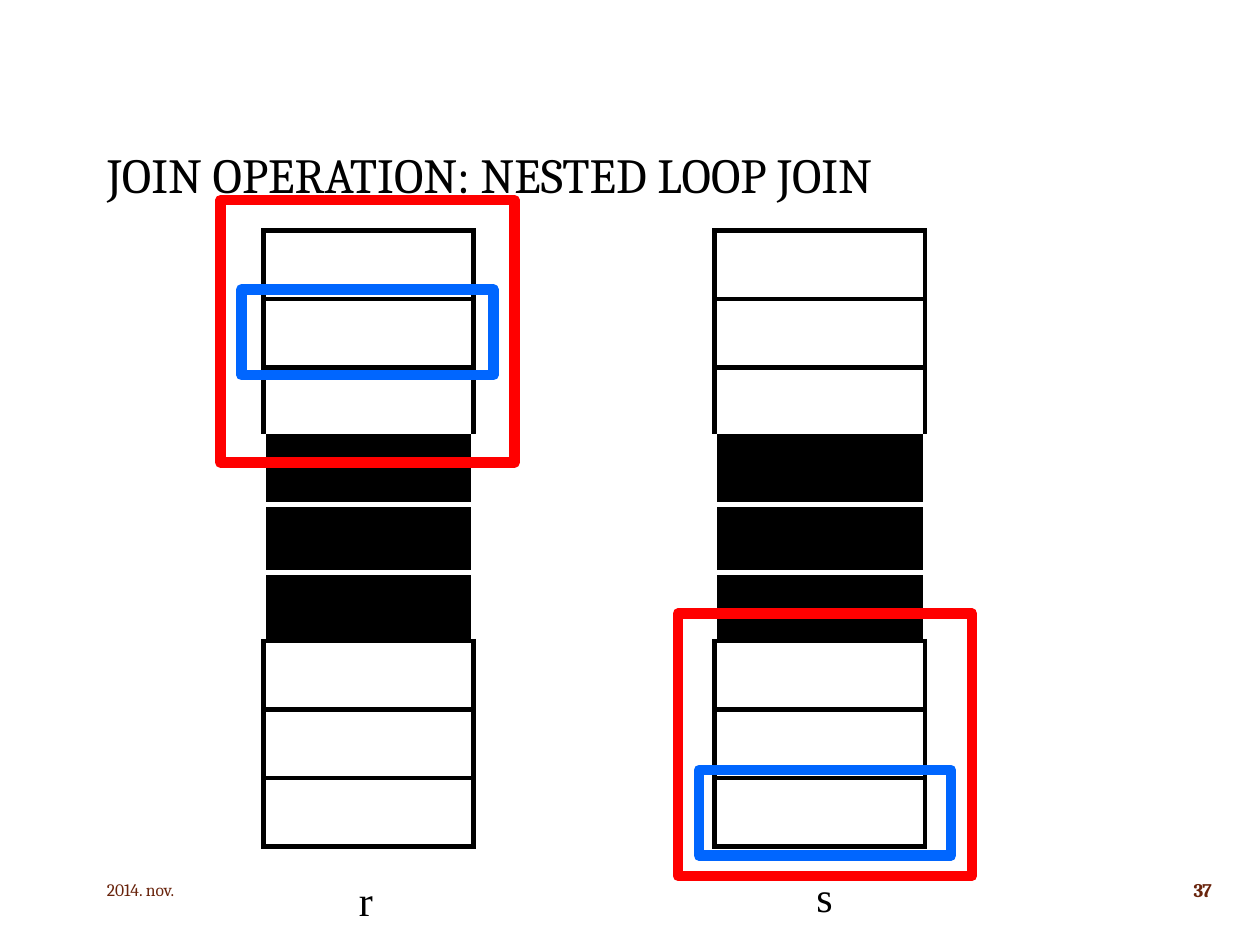
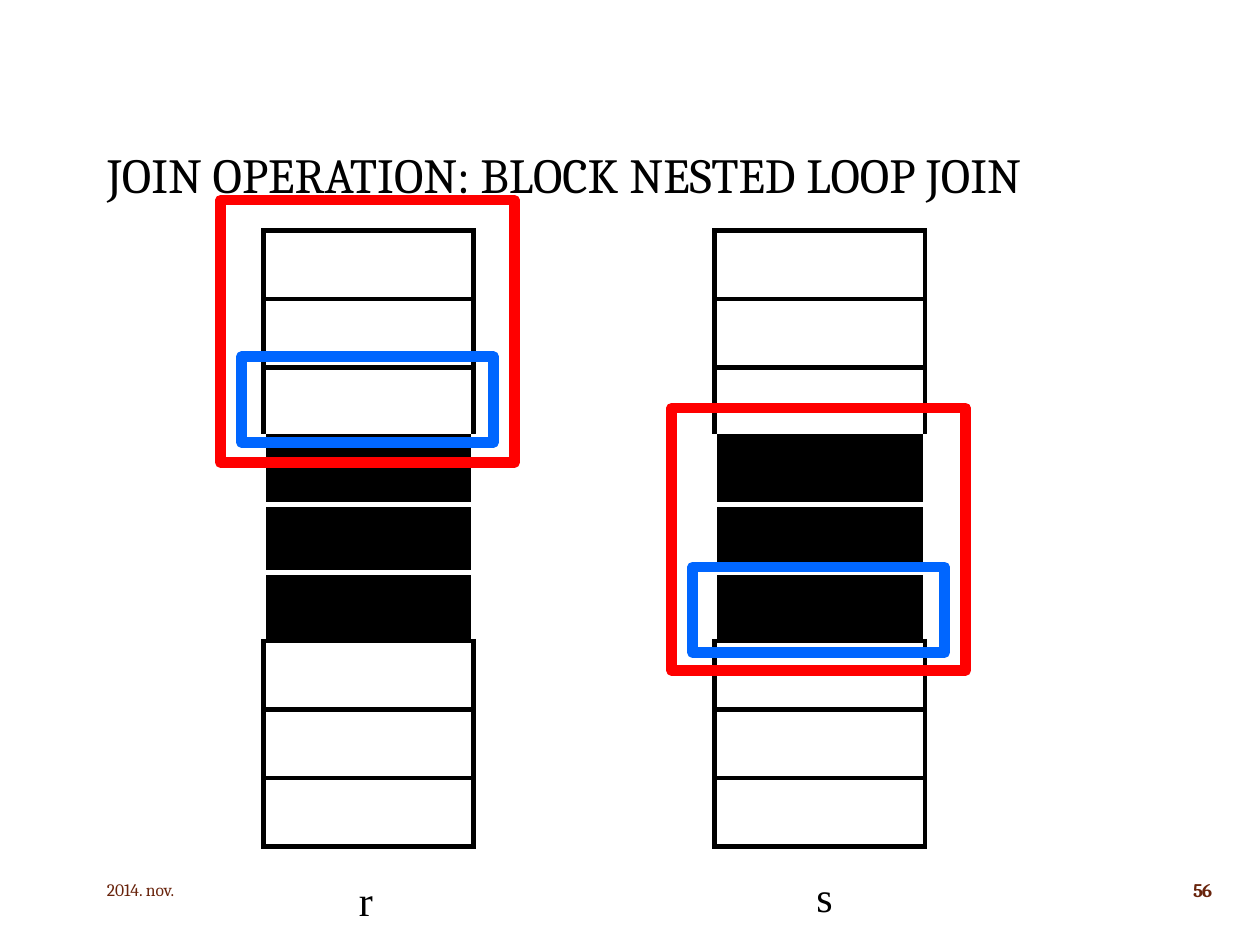
import pptx
import pptx.dml.color
import pptx.enum.shapes
import pptx.enum.text
import pptx.oxml
import pptx.oxml.ns
import pptx.util

Pt = pptx.util.Pt
RGBColor = pptx.dml.color.RGBColor
PP_ALIGN = pptx.enum.text.PP_ALIGN
MSO_ANCHOR = pptx.enum.text.MSO_ANCHOR

BLACK = RGBColor(0x00, 0x00, 0x00)
WHITE = RGBColor(0xFF, 0xFF, 0xFF)
RUST = RGBColor(0x69, 0x24, 0x0C)
RED = RGBColor(0xFF, 0x00, 0x00)
BLUE = RGBColor(0x00, 0x66, 0xFF)

TITLE = {"name": "Cambria", "size": Pt(28), "bold": False}
DATE = {"name": "Cambria", "size": Pt(10)}
NUMBER = {"name": "Cambria", "size": Pt(11), "bold": True}
LABEL = {"name": "Times New Roman", "size": Pt(24)}

# Relations: name, table left, label left, label top, label width
RELATIONS = [("r", 150.5, 198, 496, 22.3), ("s", 408.25, 459.4, 494, 23.8)]
TABLE_TOP, TABLE_WIDTH, ROW_HEIGHT = 131.8, 120.25, 39.1
ROWS = 9
DARK_ROWS = range(3, 6)

BLOCK_SIZE = (168, 150)
TUPLE_SIZE = (144, 49)
TUPLE_INDENT = 12

# Each cursor: left and top of the block frame, top of the tuple frame
SLIDES = [
    ("JOIN OPERATION: NESTED LOOP JOIN", "37",
     [(387.4, 350.6, 440), (126, 114.4, 165.4)]),
    ("JOIN OPERATION: BLOCK NESTED LOOP JOIN", "56",
     [(383.8, 233.2, 324), (126, 114.4, 203.8)]),
]


def write(sp, box, text, fmt, color, align=PP_ALIGN.LEFT, anchor=MSO_ANCHOR.MIDDLE, wrap=True):
    """Place a text shape and give it one formatted run, which is returned."""
    sp.left, sp.top, sp.width, sp.height = (Pt(v) for v in box)
    tf = sp.text_frame
    tf.word_wrap = wrap
    tf.vertical_anchor = anchor
    p = tf.paragraphs[0]
    p.alignment = align
    r = p.add_run()
    r.text = text
    for name, value in fmt.items():
        setattr(r.font, name, value)
    r.font.color.rgb = color
    return r


def border(tc_pr, side, color):
    tc_pr.append(pptx.oxml.parse_xml(
        f'<a:ln{side} {pptx.oxml.ns.nsdecls("a")} w="{Pt(3)}"><a:solidFill>'
        f'<a:srgbClr val="{color}"/></a:solidFill></a:ln{side}>'))


prs = pptx.Presentation()
prs.slide_width, prs.slide_height = Pt(720), Pt(540)

for title, number, cursors in SLIDES:
    s = prs.slides.add_slide(prs.slide_layouts[5])
    write(s.shapes.title, (54, 38.2, 612, 126.7), title, TITLE, BLACK)
    s.shapes.title.text_frame.paragraphs[0].line_spacing = 0.9

    write(s.shapes.add_textbox(0, 0, 0, 0), (54, 494, 193.7, 28.8), "2014. nov.", DATE, RUST)
    r = write(s.shapes.add_textbox(0, 0, 0, 0), (668.2, 494, 38.2, 28.8), number, NUMBER, RUST,
              align=PP_ALIGN.CENTER)
    r.font._element.set("spc", "-70")

    for relation, left, label_left, label_top, label_width in RELATIONS:
        table = s.shapes.add_table(ROWS, 1, Pt(left), Pt(TABLE_TOP), Pt(TABLE_WIDTH),
                                   Pt(ROWS * ROW_HEIGHT)).table
        table.first_row = table.horz_banding = False
        for i, row in enumerate(table.rows):
            row.height = Pt(ROW_HEIGHT)
            cell = row.cells[0]
            dark = i in DARK_ROWS
            side_color = WHITE if dark else BLACK
            top = BLACK if i == DARK_ROWS[0] else side_color
            bottom = BLACK if i == DARK_ROWS[-1] else side_color
            tc_pr = cell._tc.get_or_add_tcPr()
            for side, color in zip("LRTB", (side_color, side_color, top, bottom)):
                border(tc_pr, side, color)
            cell.fill.solid()
            cell.fill.fore_color.rgb = BLACK if dark else WHITE

        write(s.shapes.add_textbox(0, 0, 0, 0), (label_left, label_top, label_width, 36),
              relation, LABEL, BLACK, anchor=MSO_ANCHOR.TOP, wrap=False)

    for left, block_top, tuple_top in cursors:
        for x, y, size, color in [(left, block_top, BLOCK_SIZE, RED),
                                  (left + TUPLE_INDENT, tuple_top, TUPLE_SIZE, BLUE)]:
            sp = s.shapes.add_shape(pptx.enum.shapes.MSO_SHAPE.RECTANGLE,
                                    Pt(x), Pt(y), Pt(size[0]), Pt(size[1]))
            sp.shadow.inherit = False
            sp.fill.background()
            sp.line.color.rgb = color
            sp.line.width = Pt(6)

prs.save("out.pptx")
